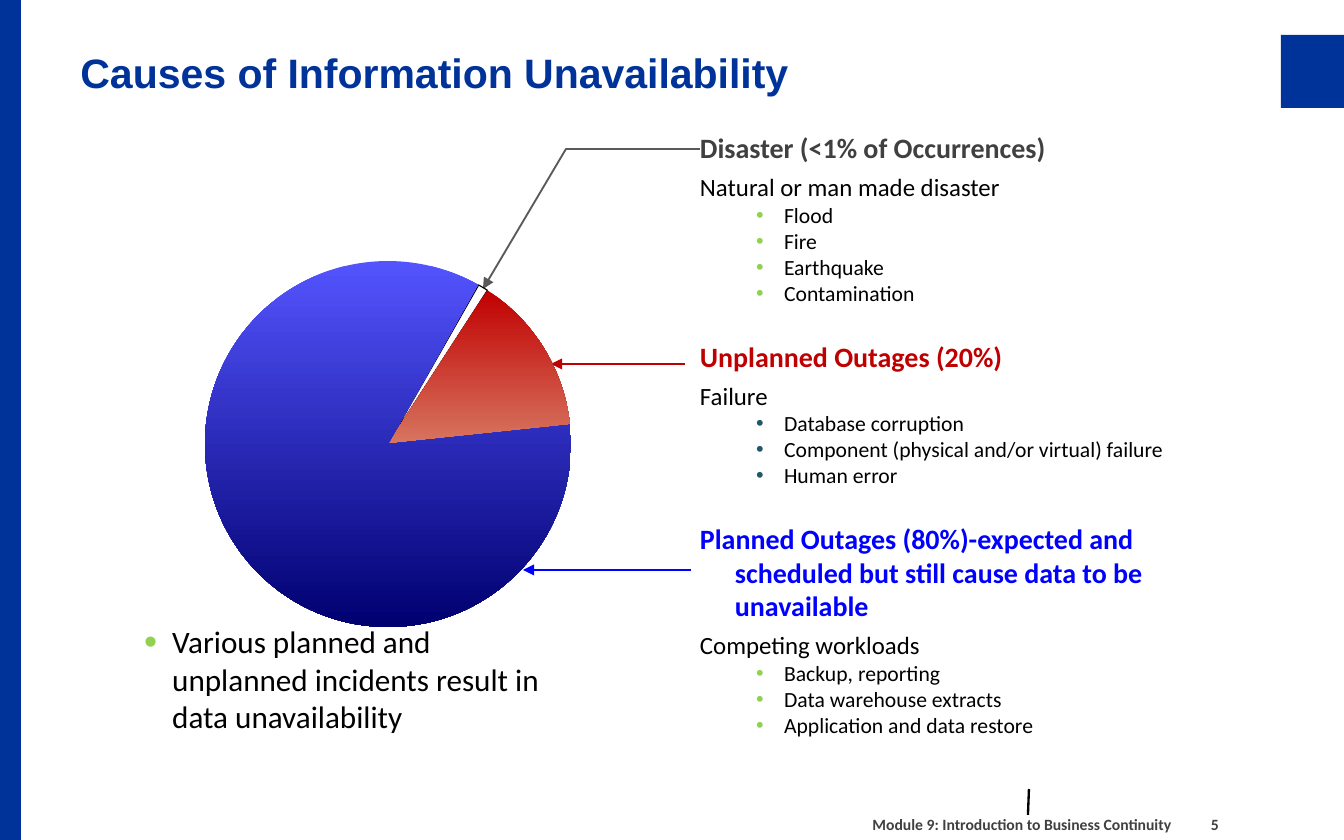
from math import cos, radians, sin, tan

from lxml.etree import SubElement
from pptx import Presentation
from pptx.dml.color import RGBColor
from pptx.enum.shapes import MSO_CONNECTOR, MSO_SHAPE
from pptx.enum.text import MSO_ANCHOR as Anchor, PP_ALIGN as Align
from pptx.oxml.ns import qn
from pptx.util import Pt

PX = 914400 / 134.4
NAVY = RGBColor(0x00, 0x33, 0x99)
BLACK = RGBColor(0x00, 0x00, 0x00)
WHITE = RGBColor(0xFF, 0xFF, 0xFF)
CHARCOAL = RGBColor(0x40, 0x40, 0x40)
GRAY = RGBColor(0x59, 0x59, 0x59)
RED = RGBColor(0xC0, 0x00, 0x00)
PALE_RED = RGBColor(0xD7, 0x75, 0x60)
BLUE = RGBColor(0x00, 0x00, 0xFF)
LIGHT_BLUE = RGBColor(0x54, 0x54, 0xFF)
DARK_BLUE = RGBColor(0x00, 0x00, 0x70)
GREEN = RGBColor(0x92, 0xD0, 0x50)
TEAL = RGBColor(0x20, 0x58, 0x67)

# heading, heading colour, kind of cause, bullet colour, examples
CAUSES = [
    ("Disaster (<1% of Occurrences)", CHARCOAL, "Natural or man made disaster", GREEN,
     ["Flood", "Fire", "Earthquake", "Contamination"]),
    ("Unplanned Outages (20%)", RED, "Failure", TEAL,
     ["Database corruption", "Component (physical and/or virtual) failure", "Human error"]),
    ("Planned Outages (80%)-expected and scheduled but still cause data to be unavailable",
     BLUE, "Competing workloads", GREEN,
     ["Backup, reporting", "Data warehouse extracts", "Application and data restore"]),
]


def emu(*lengths):
    return [round(length * PX) for length in lengths]


def set_font(paragraph, size, color, bold=False, name="Calibri"):
    font = paragraph.font
    font.name, font.size, font.bold = name, Pt(size), bold
    font.color.rgb = color


def set_indent(paragraph, left, hanging, bullet_color=None, bullet_percent=100):
    """Give the paragraph a hanging indent, and a bullet if it has a colour."""
    properties = paragraph._p.get_or_add_pPr()
    left, hanging = emu(left, hanging)
    properties.set("marL", str(left))
    properties.set("indent", str(-hanging))
    if bullet_color is not None:
        color = SubElement(properties, qn("a:buClr"))
        SubElement(color, qn("a:srgbClr"), val=str(bullet_color))
        SubElement(properties, qn("a:buSzPct"), val=str(bullet_percent * 1000))
        SubElement(properties, qn("a:buFont"), typeface="Arial")
        SubElement(properties, qn("a:buChar"), char="•")


def add_text_frame(slide, box, anchor=Anchor.TOP):
    frame = slide.shapes.add_textbox(*emu(*box)).text_frame
    frame.word_wrap = True
    frame.vertical_anchor = anchor
    return frame


def fill_solid(shape, color):
    shape.fill.solid()
    shape.fill.fore_color.rgb = color


def add_title(slide, box, text):
    title = slide.shapes.title
    title.left, title.top, title.width, title.height = emu(*box)
    fill_solid(title, WHITE)
    title.text_frame.text = text
    title.text_frame.vertical_anchor = Anchor.MIDDLE
    paragraph = title.text_frame.paragraphs[0]
    paragraph.alignment = Align.LEFT
    set_font(paragraph, 22, NAVY, True, "Arial")


def add_band(slide, box):
    band = slide.shapes.add_shape(MSO_SHAPE.RECTANGLE, *emu(*box))
    band.shadow.inherit = False
    fill_solid(band, NAVY)
    band.line.fill.background()


def add_freeform(slide, points, close=True):
    points = [emu(*point) for point in points]
    builder = slide.shapes.build_freeform(*points[0])
    builder.add_line_segments(points[1:], close=close)
    shape = builder.convert_to_shape()
    shape.shadow.inherit = False
    return shape


def add_slice(slide, center, radius, start, end):
    """Draw a pie slice; angles run clockwise from the top, in degrees."""
    def on_circle(angle):
        return center[0] + radius * sin(angle), center[1] - radius * cos(angle)

    stops = [start] + [a for a in range(0, 361, 90) if start < a < end] + [end]
    stops = [radians(stop) for stop in stops]
    points = [center, on_circle(stops[0])]
    for first, last in zip(stops, stops[1:]):
        reach = radius * 4 / 3 * tan((last - first) / 4)
        (x1, y1), (x2, y2) = on_circle(first), on_circle(last)
        points += [(x1 + reach * cos(first), y1 + reach * sin(first)),
                   (x2 - reach * cos(last), y2 - reach * sin(last)), (x2, y2)]
    shape = add_freeform(slide, points)
    bend_segments(shape)
    return shape


def bend_segments(shape):
    """Turn each three line segments after the first into one Bézier curve."""
    segments = list(shape.element.iter(qn("a:lnTo")))[1:]
    for i in range(0, len(segments), 3):
        curve = segments[i]
        curve.tag = qn("a:cubicBezTo")
        for segment in segments[i + 1:i + 3]:
            curve.append(segment[0])
            segment.getparent().remove(segment)


def fill_downwards(shape, top_color, bottom_color):
    shape.fill.gradient()
    shape.fill.gradient_angle = 270
    for stop, color in zip(shape.fill.gradient_stops, (top_color, bottom_color)):
        stop.color.rgb = color
    shape.line.fill.background()


def add_pie(slide, box):
    left, top, size, _ = box
    radius = size / 2
    center = (left + radius, top + radius)
    disaster = add_slice(slide, center, radius, 29.7, 32.9)
    fill_solid(disaster, WHITE)
    format_line(disaster, BLACK, 0.63, arrow=False)
    fill_downwards(add_slice(slide, center, radius, 32.9, 84), RED, PALE_RED)
    fill_downwards(add_slice(slide, center, radius, 84, 389.5), LIGHT_BLUE, DARK_BLUE)


def format_line(shape, color, width=1, arrow=True):
    shape.line.color.rgb = color
    shape.line.width = Pt(width)
    if arrow:
        line = shape.element.spPr.find(qn("a:ln"))
        SubElement(line, qn("a:tailEnd"), type="triangle")


def add_line(slide, start, end, color, width=1, arrow=True):
    line = slide.shapes.add_connector(MSO_CONNECTOR.STRAIGHT, *emu(*start, *end))
    format_line(line, color, width, arrow)
    SubElement(line.element.spPr, qn("a:effectLst"))


def add_pointers(slide):
    """Lead from each cause to its slice."""
    bent = add_freeform(slide, [(700, 149), (566, 149), (483, 289)], close=False)
    bent.fill.background()
    format_line(bent, GRAY)
    add_line(slide, (685, 364), (551, 364), RED)
    add_line(slide, (691, 570), (523, 570), BLUE)


def add_causes(slide, box):
    frame = add_text_frame(slide, box)
    frame.margin_left = frame.margin_right = frame.margin_top = frame.margin_bottom = 0
    for number, (heading, color, kind, bullet_color, examples) in enumerate(CAUSES):
        paragraph = frame.add_paragraph() if number else frame.paragraphs[0]
        paragraph.text = heading
        set_indent(paragraph, 35, 35)
        set_font(paragraph, 15, color, True)
        if number:
            paragraph.space_before = Pt(18)
        paragraph = frame.add_paragraph()
        paragraph.text = kind
        paragraph.space_before = Pt(4)
        set_indent(paragraph, 35, 35)
        set_font(paragraph, 13.3, BLACK)
        for example in examples:
            paragraph = frame.add_paragraph()
            paragraph.text = example
            paragraph.level = 1
            set_indent(paragraph, 84, 28, bullet_color)
            set_font(paragraph, 11.6, BLACK)


def add_summary(slide, box, text):
    paragraph = add_text_frame(slide, box).paragraphs[0]
    paragraph.text = text
    set_indent(paragraph, 28, 28, GREEN, 120)
    set_font(paragraph, 16.7, BLACK)


def add_footer(slide, box, text):
    paragraph = add_text_frame(slide, box, Anchor.BOTTOM).paragraphs[0]
    paragraph.text = text
    paragraph.alignment = Align.RIGHT
    set_font(paragraph, 8.4, CHARCOAL, True)


def main():
    presentation = Presentation()
    presentation.slide_width, presentation.slide_height = emu(1344, 840)
    slide = presentation.slides.add_slide(presentation.slide_layouts[5])
    add_title(slide, (67, 34, 1214, 77), "Causes of Information Unavailability")
    add_band(slide, (1281, 35, 63, 73))
    add_band(slide, (0, 0, 21, 841))
    add_line(slide, (1029, 789), (1028, 815), BLACK, 1.25, arrow=False)
    add_causes(slide, (700, 131, 495, 579))
    add_pointers(slide)
    add_pie(slide, (205, 261, 366, 366))
    add_summary(slide, (131, 616, 448, 126),
                "Various planned and unplanned incidents result in data unavailability")
    add_footer(slide, (672, 812, 513, 28), "Module 9: Introduction to Business Continuity")
    add_footer(slide, (1176, 812, 56, 28), "5")
    presentation.save("out.pptx")


if __name__ == "__main__":
    main()
